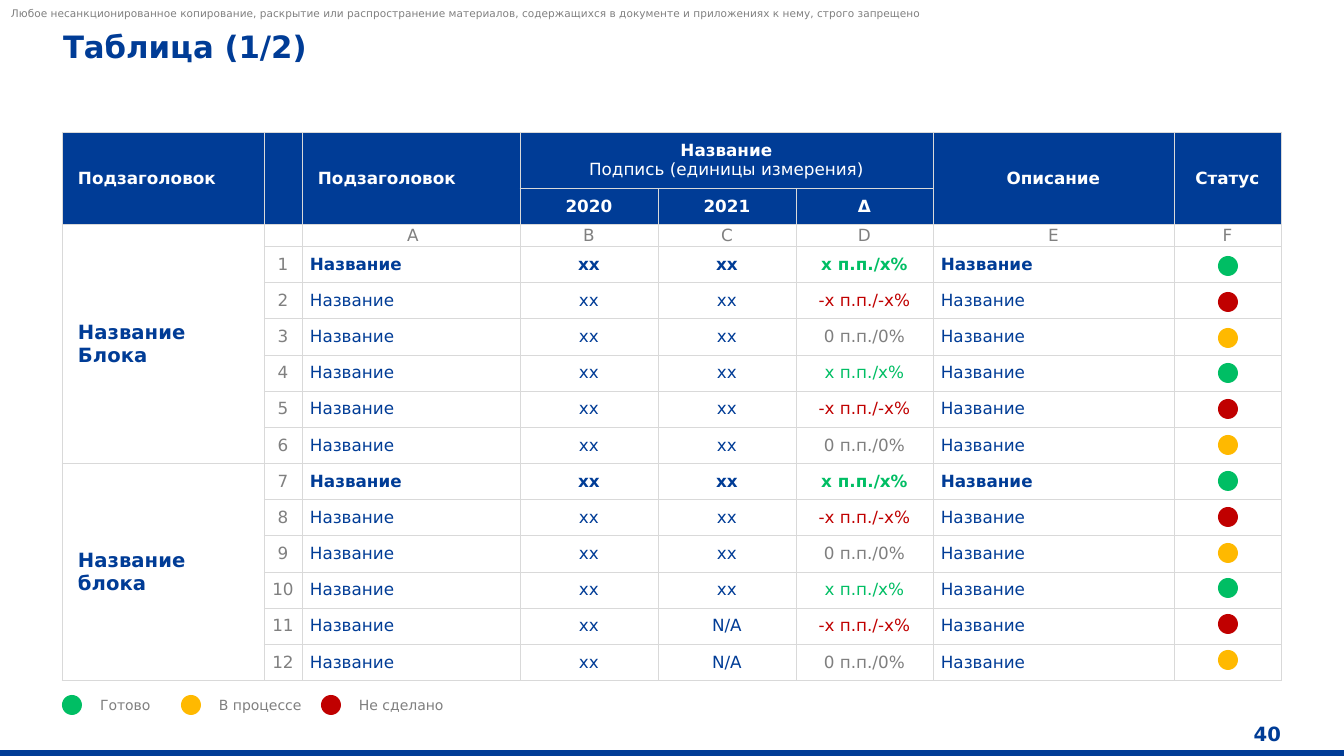
from dataclasses import dataclass

from lxml import etree
from pptx import Presentation
from pptx.dml.color import RGBColor
from pptx.enum.shapes import MSO_SHAPE
from pptx.enum.text import MSO_ANCHOR, MSO_AUTO_SIZE, PP_ALIGN
from pptx.oxml.ns import qn
from pptx.slide import Slide
from pptx.table import Table, _Cell
from pptx.text.text import TextFrame

LEFT, CENTER, RIGHT = PP_ALIGN.LEFT, PP_ALIGN.CENTER, PP_ALIGN.RIGHT
TOP, MIDDLE, BOTTOM = MSO_ANCHOR.TOP, MSO_ANCHOR.MIDDLE, MSO_ANCHOR.BOTTOM
OVAL, RECTANGLE = MSO_SHAPE.OVAL, MSO_SHAPE.RECTANGLE
NO_AUTOFIT = MSO_AUTO_SIZE.NONE

SLIDE_WIDTH, SLIDE_HEIGHT = 1344, 756
EMU_PER_PX = 12192000 / SLIDE_WIDTH
EMU_PER_PT = 12700
FONT = "DejaVu Sans"
COLORS = {
    "blue": "003C96",
    "white": "FFFFFF",
    "border": "D9D9D9",
    "label": "808080",
    "gray": "7F7F7F",
    "green": "00BE64",
    "red": "C00000",
    "amber": "FFB900",
}

TABLE_LEFT, TABLE_TOP = 62, 132
COLUMN_WIDTHS = [202, 38, 218, 138, 138, 137, 241, 107]
HEAD_HEIGHTS = [55, 36, 22]
BODY_HEIGHT = 427
BODY_ROWS = 12
HEAD_ROWS = len(HEAD_HEIGHTS)
DOT = 20
STATUS_LEFT, STATUS_TOP, STATUS_SPAN = 1218, 256, 394
LEGEND_TOP = 695

EVEN = (8, 8, 8, 8)
INDENTED = (16, 8, 12, 8)
FLAT = (8, 0, 8, 0)
NARROW = (0, 8, 0, 8)
NAME_INSETS = (8, 8, 12, 8)


@dataclass(frozen=True)
class Heading:
    text: str
    row: int
    column: int
    rows: int = 1
    columns: int = 1
    align: PP_ALIGN = CENTER
    insets: tuple[int, int, int, int] = EVEN


@dataclass(frozen=True)
class Block:
    text: str
    row: int
    rows: int


@dataclass(frozen=True)
class Status:
    delta: str
    delta_color: str
    dot_color: str


@dataclass(frozen=True)
class LegendEntry:
    text: str
    color: str
    left: int
    width: int


HEADINGS = [
    Heading("Подзаголовок", 0, 0, rows=2, align=LEFT, insets=INDENTED),
    Heading("", 0, 1, rows=2),
    Heading("Подзаголовок", 0, 2, rows=2, align=LEFT, insets=INDENTED),
    Heading("Название\nПодпись (единицы измерения)", 0, 3, columns=3),
    Heading("2020", 1, 3),
    Heading("2021", 1, 4),
    Heading("Δ", 1, 5),
    Heading("Описание", 0, 6, rows=2),
    Heading("Статус", 0, 7, rows=2),
]
BLOCKS = [Block("Название Блока", 2, 7), Block("Название блока", 9, 6)]
STATUSES = [
    Status("x п.п./x%", "green", "green"),
    Status("-x п.п./-x%", "red", "red"),
    Status("0 п.п./0%", "gray", "amber"),
]
LEGEND = [
    LegendEntry("Готово", "green", 62, 73),
    LegendEntry("В процессе", "amber", 181, 103),
    LegendEntry("Не сделано", "red", 321, 119),
]
BOLD_ROWS = (1, 7)
MISSING_2021 = (11, 12)


def px(length: int) -> int:
    return round(length * EMU_PER_PX)


def rgb(name: str) -> RGBColor:
    return RGBColor.from_string(COLORS[name])


def write(
    box: TextFrame | _Cell, text: str, *, size: float = 12, color: str = "blue",
    bold: bool = False, align: PP_ALIGN = LEFT, anchor: MSO_ANCHOR = MIDDLE,
    insets: tuple[int, int, int, int] = (0, 0, 0, 0),
) -> None:
    frame = box.text_frame if isinstance(box, _Cell) else box
    box.margin_left, box.margin_top, box.margin_right, box.margin_bottom = map(px, insets)
    box.vertical_anchor = anchor
    frame.word_wrap = True
    frame.text = text
    for paragraph in frame.paragraphs:
        paragraph.alignment = align
        for run in paragraph.runs:
            run.font.name, run.font.size = FONT, round(size * EMU_PER_PT)
            run.font.bold = bold
            run.font.color.rgb = rgb(color)


def add_label(slide: Slide, text: str, left: int, top: int, width: int, height: int, **style) -> None:
    label = slide.shapes.add_textbox(px(left), px(top), px(width), px(height))
    write(label.text_frame, text, **style)


def add_mark(slide: Slide, kind: MSO_SHAPE, color: str, left: int, top: int, width: int, height: int) -> None:
    mark = slide.shapes.add_shape(kind, px(left), px(top), px(width), px(height))
    mark.shadow.inherit = False
    mark.fill.solid()
    mark.fill.fore_color.rgb = rgb(color)
    mark.line.fill.background()


def style_cell(cell: _Cell, color: str) -> None:
    cell.fill.solid()
    cell.fill.fore_color.rgb = rgb(color)
    cell.margin_left = cell.margin_top = cell.margin_right = cell.margin_bottom = 0
    properties = cell._tc.get_or_add_tcPr()
    for position, side in enumerate(("a:lnL", "a:lnR", "a:lnT", "a:lnB")):
        border = etree.Element(qn(side), w=str(EMU_PER_PT // 2))
        fill = etree.SubElement(border, qn("a:solidFill"))
        etree.SubElement(fill, qn("a:srgbClr"), val=COLORS["border"])
        properties.insert(position, border)
    etree.SubElement(cell.text_frame.paragraphs[0]._p, qn("a:endParaRPr"), sz="1200")


def add_grid(slide: Slide) -> Table:
    height = sum(HEAD_HEIGHTS) + BODY_HEIGHT
    table = slide.shapes.add_table(
        HEAD_ROWS + BODY_ROWS, len(COLUMN_WIDTHS),
        px(TABLE_LEFT), px(TABLE_TOP), px(sum(COLUMN_WIDTHS)), px(height),
    ).table
    table.first_row = table.horz_banding = False
    for column, width in zip(table.columns, COLUMN_WIDTHS):
        column.width = px(width)
    for index, row in enumerate(table.rows):
        row.height = px(HEAD_HEIGHTS[index]) if index < HEAD_ROWS else px(BODY_HEIGHT) // BODY_ROWS
        for cell in row.cells:
            style_cell(cell, "blue" if index < 2 else "white")
    return table


def fill_table(table: Table) -> None:
    for heading in HEADINGS:
        cell = table.cell(heading.row, heading.column)
        if heading.rows * heading.columns > 1:
            cell.merge(table.cell(heading.row + heading.rows - 1, heading.column + heading.columns - 1))
        if heading.text:
            write(cell, heading.text, color="white", bold=True, align=heading.align, insets=heading.insets)
    table.cell(0, 3).text_frame.paragraphs[1].runs[0].font.bold = False
    for block in BLOCKS:
        cell = table.cell(block.row, 0)
        cell.merge(table.cell(block.row + block.rows - 1, 0))
        write(cell, block.text, size=14, bold=True, insets=INDENTED)
    for column, letter in enumerate("ABCDEF", start=2):
        insets = (16, 0, 12, 0) if column == 2 else FLAT
        write(table.cell(2, column), letter, color="label", align=CENTER, insets=insets)
    for number in range(1, BODY_ROWS + 1):
        cells = table.rows[HEAD_ROWS + number - 1].cells
        status = STATUSES[(number - 1) % len(STATUSES)]
        bold = number in BOLD_ROWS
        value_2021 = "N/A" if number in MISSING_2021 else "хх"
        write(cells[1], str(number), color="label", align=CENTER, insets=NARROW)
        write(cells[2], "Название", bold=bold, insets=NAME_INSETS)
        write(cells[3], "хх", bold=bold, align=CENTER, insets=EVEN)
        write(cells[4], value_2021, bold=bold, align=CENTER, insets=EVEN)
        write(cells[5], status.delta, color=status.delta_color, bold=bold, align=CENTER, insets=EVEN)
        write(cells[6], "Название", bold=bold, insets=EVEN)


def main() -> None:
    deck = Presentation()
    deck.slide_width, deck.slide_height = px(SLIDE_WIDTH), px(SLIDE_HEIGHT)
    slide = deck.slides.add_slide(deck.slide_layouts[5])
    title = slide.shapes.title
    title.left, title.top, title.width, title.height = map(px, (63, 28, 1103, 37))
    title.text_frame.auto_size = NO_AUTOFIT
    write(title.text_frame, "Таблица (1/2)", size=22, bold=True, anchor=TOP)
    add_mark(slide, RECTANGLE, "blue", 0, 750, SLIDE_WIDTH, 6)
    add_label(
        slide,
        "Любое несанкционированное копирование, раскрытие или распространение материалов, "
        "содержащихся в документе и приложениях к нему, строго запрещено",
        11, 7, 1157, 13, size=7.5, color="label", anchor=BOTTOM,
    )
    add_label(slide, "40", 1224, 722, 57, 24, size=14, bold=True, align=RIGHT)
    fill_table(add_grid(slide))
    for index in range(BODY_ROWS):
        top = STATUS_TOP + round(STATUS_SPAN * index / (BODY_ROWS - 1))
        add_mark(slide, OVAL, STATUSES[index % len(STATUSES)].dot_color, STATUS_LEFT, top, DOT, DOT)
    for entry in LEGEND:
        add_mark(slide, OVAL, entry.color, entry.left, LEGEND_TOP, DOT, DOT)
        add_label(
            slide, entry.text, entry.left + 28, LEGEND_TOP, entry.width, DOT,
            size=10, color="gray", insets=(10, 0, 0, 0),
        )
    deck.save("out.pptx")


if __name__ == "__main__":
    main()
